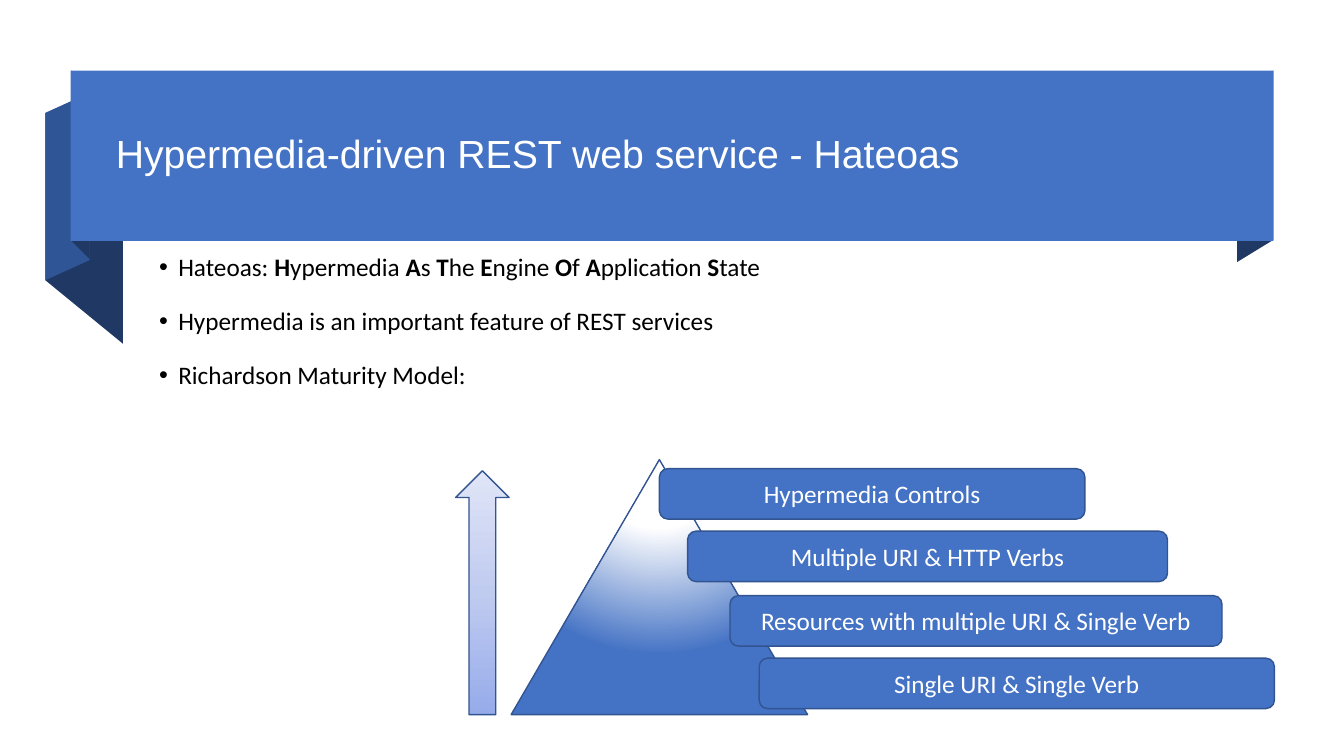
from pptx import Presentation
from pptx.dml.color import RGBColor
from pptx.enum.shapes import MSO_SHAPE
from pptx.enum.text import MSO_ANCHOR, PP_ALIGN
from pptx.oxml import parse_xml
from pptx.oxml.ns import nsdecls, qn
from pptx.util import Inches, Pt

RECT, ROUND = MSO_SHAPE.RECTANGLE, MSO_SHAPE.ROUNDED_RECTANGLE
CONE, ARROW = MSO_SHAPE.ISOSCELES_TRIANGLE, MSO_SHAPE.UP_ARROW
TOP, MIDDLE = MSO_ANCHOR.TOP, MSO_ANCHOR.MIDDLE
LEFT, CENTER = PP_ALIGN.LEFT, PP_ALIGN.CENTER

WHITE = RGBColor(0xFF, 0xFF, 0xFF)
BLACK = RGBColor(0x00, 0x00, 0x00)
BLUE = RGBColor(0x44, 0x72, 0xC4)
EDGE = RGBColor(0x32, 0x54, 0x91)
MID = RGBColor(0x2F, 0x55, 0x97)
NAVY = RGBColor(0x20, 0x38, 0x64)
PALE = RGBColor(0xE0, 0xE5, 0xF7)
SOFT = RGBColor(0xC0, 0xCB, 0xF0)
LILAC = RGBColor(0x96, 0xAB, 0xEA)

FOLDS = [
    (NAVY, [(1.22, 3.41), (0.45, 2.78), (0.45, 1.12), (1.22, 1.75)]),
    (MID, [(0.89, 2.58), (0.45, 2.78), (0.45, 1.12), (0.89, 0.92)]),
    (NAVY, [(0.89, 2.57), (0.71, 2.39), (0.71, 0.7), (0.89, 0.89)]),
    (NAVY, [(12.63, 2.38), (12.27, 2.6), (12.27, 0.91), (12.63, 0.7)]),
]
POINTS = [
    "Hateoas: *H*ypermedia *A*s *T*he *E*ngine *O*f *A*pplication *S*tate",
    "Hypermedia is an important feature of REST services",
    "Richardson Maturity Model:",
]
LEVELS = [
    ("Single URI & Single Verb", 7.53, 6.53, 5.11),
    ("Resources with multiple URI & Single Verb", 7.24, 5.91, 4.88),
    ("Multiple URI & HTTP Verbs", 6.82, 5.27, 4.76),
    ("Hypermedia Controls", 6.54, 4.65, 4.22),
]
RADIAL = ('<a:path path="circle"><a:fillToRect l="50000" t="-80000" '
          'r="50000" b="180000"/></a:path>')
LINEAR = '<a:lin ang="5400000" scaled="0"/>'


def paint(shape, fill=None, edge=None):
    """Set the fill and outline of a shape and drop its shadow."""
    shape.shadow.inherit = False
    if fill is not None:
        shape.fill.solid()
        shape.fill.fore_color.rgb = fill
    if edge is None:
        shape.line.fill.background()
    else:
        shape.line.color.rgb = edge
        shape.line.width = Pt(1)


def add_box(slide, kind, x, y, w, h, fill=None, edge=None):
    """Add a preset shape."""
    shape = slide.shapes.add_shape(kind, Inches(x), Inches(y), Inches(w), Inches(h))
    paint(shape, fill, edge)
    return shape


def add_fold(slide, color, spots):
    """Add one folded part of the ribbon."""
    start, *rest = [(Inches(x), Inches(y)) for x, y in spots]
    pen = slide.shapes.build_freeform(*start)
    pen.add_line_segments(rest, close=True)
    paint(pen.convert_to_shape(), color)


def add_blend(shape, stops, way):
    """Fill a shape with a gradient of (percent, colour) stops."""
    shape.fill.gradient()
    old = shape._element.spPr.find(qn("a:gradFill"))
    marks = "".join(f'<a:gs pos="{spot * 1000}"><a:srgbClr val="{color}"/></a:gs>'
                    for spot, color in stops)
    new = parse_xml(f'<a:gradFill {nsdecls("a")} rotWithShape="1">'
                    f'<a:gsLst>{marks}</a:gsLst>{way}</a:gradFill>')
    old.getparent().replace(old, new)


def add_bullet(para, indent):
    """Give a paragraph a hanging bullet."""
    props = para._p.get_or_add_pPr()
    props.set("marL", str(Inches(indent)))
    props.set("indent", str(-Inches(indent)))
    props.append(parse_xml(f'<a:buFont {nsdecls("a")} typeface="Arial"/>'))
    props.append(parse_xml(f'<a:buChar {nsdecls("a")} char="•"/>'))


def write(shape, lines, font="Calibri", size=18, color=WHITE, align=LEFT,
          anchor=MIDDLE, spacing=None, after=0, bullet=None):
    """Write lines into a shape, with bold parts between asterisks."""
    frame = shape.text_frame
    frame.word_wrap = True
    frame.vertical_anchor = anchor
    for index, line in enumerate(lines):
        para = frame.add_paragraph() if index else frame.paragraphs[0]
        para.alignment = align
        para.line_spacing = spacing
        para.space_after = Pt(after)
        if bullet:
            add_bullet(para, bullet)
        for part, words in enumerate(line.split("*")):
            run = para.add_run()
            run.text = words
            run.font.name = font
            run.font.size = Pt(size)
            run.font.bold = part % 2 == 1
            run.font.color.rgb = color


def add_text(slide, x, y, w, h, lines, **style):
    """Add a text box."""
    box = slide.shapes.add_textbox(Inches(x), Inches(y), Inches(w), Inches(h))
    write(box, lines, **style)


def main():
    """Build the slide and save it."""
    deck = Presentation()
    deck.slide_width, deck.slide_height = Inches(13.33), Inches(7.5)
    slide = deck.slides.add_slide(deck.slide_layouts[6])

    for color, spots in FOLDS:
        add_fold(slide, color, spots)
    add_box(slide, RECT, 0.7, 0.7, 11.93, 1.69, BLUE)
    add_text(slide, 1.05, 0.88, 11.23, 1.33,
             ["Hypermedia-driven REST web service - Hateoas"],
             font="Arial", size=28, spacing=0.9)
    add_text(slide, 1.48, 2.48, 10.62, 1.9, POINTS, color=BLACK, anchor=TOP,
             spacing=0.9, after=19, bullet=0.19)

    cone = add_box(slide, CONE, 5.07, 4.56, 2.94, 2.53, edge=EDGE)
    add_blend(cone, [(0, WHITE), (35, WHITE), (100, BLUE)], RADIAL)
    for label, x, y, w in LEVELS:
        bar = add_box(slide, ROUND, x, y, w, 0.5, BLUE, EDGE)
        write(bar, [label], align=CENTER)
    arrow = add_box(slide, ARROW, 4.52, 4.67, 0.53, 2.42, edge=EDGE)
    add_blend(arrow, [(0, PALE), (50, SOFT), (100, LILAC)], LINEAR)

    deck.save("out.pptx")


if __name__ == "__main__":
    main()
